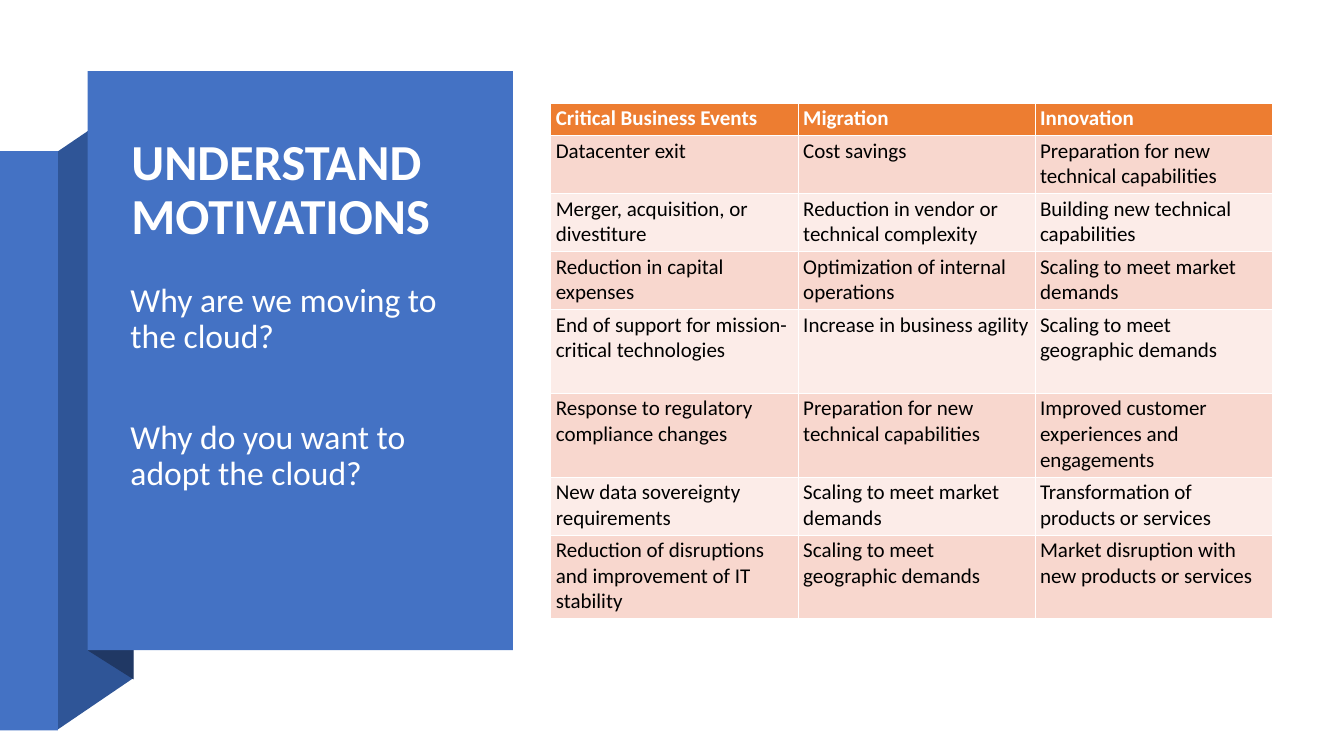
"""Build the slide on motivations for moving to the cloud."""
import dataclasses

import pptx
import pptx.dml.color
import pptx.enum.shapes
import pptx.enum.text
import pptx.util


@dataclasses.dataclass(frozen=True)
class Theme:
    font: str = "Calibri"
    white: str = "FFFFFF"
    black: str = "000000"
    panel: str = "4472C4"
    ribbon: str = "2F5597"
    fold: str = "203864"
    header: str = "ED7D31"
    bands: tuple = ("F8D7CE", "FCECE8")
    title_size: int = 72
    question_size: int = 48
    table_size: int = 30


THEME = Theme()
WIDTH = pptx.util.Inches(26.67)
HEIGHT = pptx.util.Inches(15)

TITLE = "UNDERSTAND MOTIVATIONS"
QUESTIONS = ("Why are we moving to the cloud?", "Why do you want to adopt the cloud?")
MOTIVATIONS = (
    ("Critical Business Events", "Migration", "Innovation"),
    ("Datacenter exit", "Cost savings", "Preparation for new technical capabilities"),
    ("Merger, acquisition, or divestiture", "Reduction in vendor or technical complexity",
     "Building new technical capabilities"),
    ("Reduction in capital expenses", "Optimization of internal operations",
     "Scaling to meet market demands"),
    ("End of support for mission-critical technologies", "Increase in business agility",
     "Scaling to meet geographic demands"),
    ("Response to regulatory compliance changes", "Preparation for new technical capabilities",
     "Improved customer experiences and engagements"),
    ("New data sovereignty requirements", "Scaling to meet market demands",
     "Transformation of products or services"),
    ("Reduction of disruptions and improvement of IT stability",
     "Scaling to meet geographic demands", "Market disruption with new products or services"),
)
COLUMN_SHARES = (18.41, 17.62, 17.62)
ROW_LINES = (1, 2, 2, 2, 3, 3, 2, 3)
FIRST_LINE_SHARE = 4.27
NEXT_LINE_SHARE = 3.4


def across(share):
    return round(WIDTH * share / 100)


def down(share):
    return round(HEIGHT * share / 100)


def frame(left, top, width, height):
    return across(left), down(top), across(width), down(height)


def paint(fill, color):
    fill.solid()
    fill.fore_color.rgb = pptx.dml.color.RGBColor.from_string(color)


def finish_shape(shape, color):
    shape.shadow.inherit = False
    shape.line.fill.background()
    paint(shape.fill, color)


def add_panel(page, area, color):
    kind = pptx.enum.shapes.MSO_SHAPE.RECTANGLE
    finish_shape(page.shapes.add_shape(kind, *frame(*area)), color)


def add_ribbon(page, corners, color):
    points = [(across(x), down(y)) for x, y in corners]
    builder = page.shapes.build_freeform(*points[0])
    builder.add_line_segments(points[1:], close=True)
    finish_shape(builder.convert_to_shape(), color)


def style_font(para, size, color, bold=False):
    para.font.name = THEME.font
    para.font.size = pptx.util.Pt(size)
    para.font.bold = bold
    para.font.color.rgb = pptx.dml.color.RGBColor.from_string(color)


def add_text(page, area, lines, size, bold=False, gap=0,
             anchor=pptx.enum.text.MSO_ANCHOR.TOP):
    text = page.shapes.add_textbox(*frame(*area)).text_frame
    text.word_wrap = True
    text.vertical_anchor = anchor
    text.text = "\n".join(lines)
    for index, para in enumerate(text.paragraphs):
        para.line_spacing = 0.9
        para.space_before = pptx.util.Pt(gap if index else 0)
        style_font(para, size, THEME.white, bold)


def add_motivation_table(page, left, top):
    heights = [FIRST_LINE_SHARE + NEXT_LINE_SHARE * (lines - 1) for lines in ROW_LINES]
    area = frame(left, top, sum(COLUMN_SHARES), sum(heights))
    table = page.shapes.add_table(len(heights), len(COLUMN_SHARES), *area).table
    for column, share in zip(table.columns, COLUMN_SHARES):
        column.width = across(share)
    for index, (row, share, words) in enumerate(zip(table.rows, heights, MOTIVATIONS)):
        row.height = down(share)
        is_header = index == 0
        fill = THEME.header if is_header else THEME.bands[(index - 1) % 2]
        color = THEME.white if is_header else THEME.black
        for cell, word in zip(row.cells, words):
            cell.text = word
            paint(cell.fill, fill)
            style_font(cell.text_frame.paragraphs[0], THEME.table_size, color, is_header)


def main():
    deck = pptx.Presentation()
    deck.slide_width, deck.slide_height = WIDTH, HEIGHT
    page = deck.slides.add_slide(deck.slide_layouts[6])
    add_ribbon(page, ((4.27, 96.53), (9.9, 89.73), (9.9, 13.27), (4.27, 20.07)), THEME.ribbon)
    add_panel(page, (0, 20, 4.31, 76.6), THEME.panel)
    add_ribbon(page, ((6.56, 86.07), (9.94, 89.87), (9.94, 13.2), (6.56, 9.4)), THEME.fold)
    add_panel(page, (6.52, 9.4, 31.65, 76.6), THEME.panel)
    add_text(page, (9.41, 14.53, 26.1, 21.47), [TITLE], THEME.title_size, bold=True,
             anchor=pptx.enum.text.MSO_ANCHOR.MIDDLE)
    add_text(page, (9.34, 37.13, 26.25, 43.53), QUESTIONS, THEME.question_size, gap=92)
    add_motivation_table(page, 40.98, 13.67)
    deck.save("out.pptx")


main()
